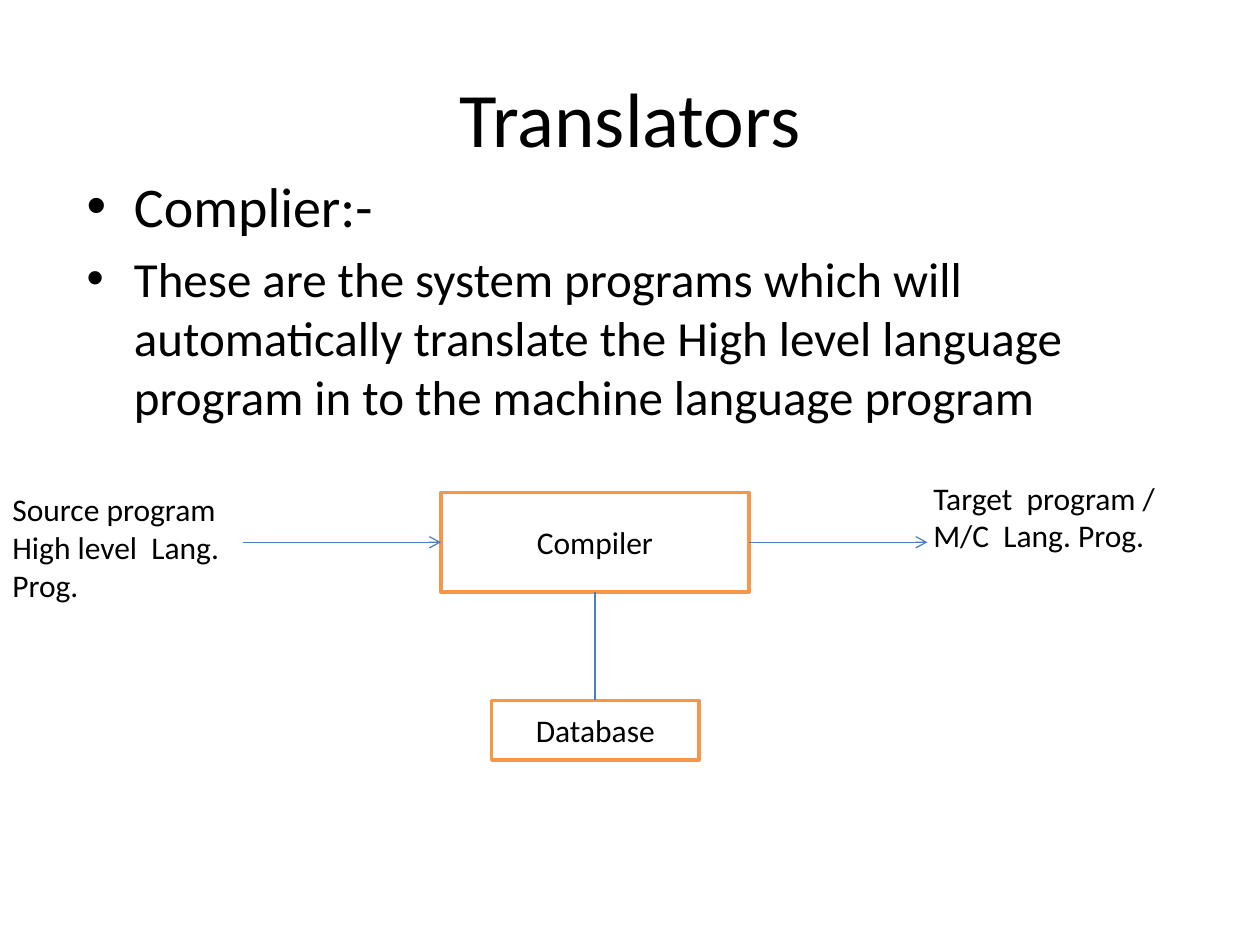
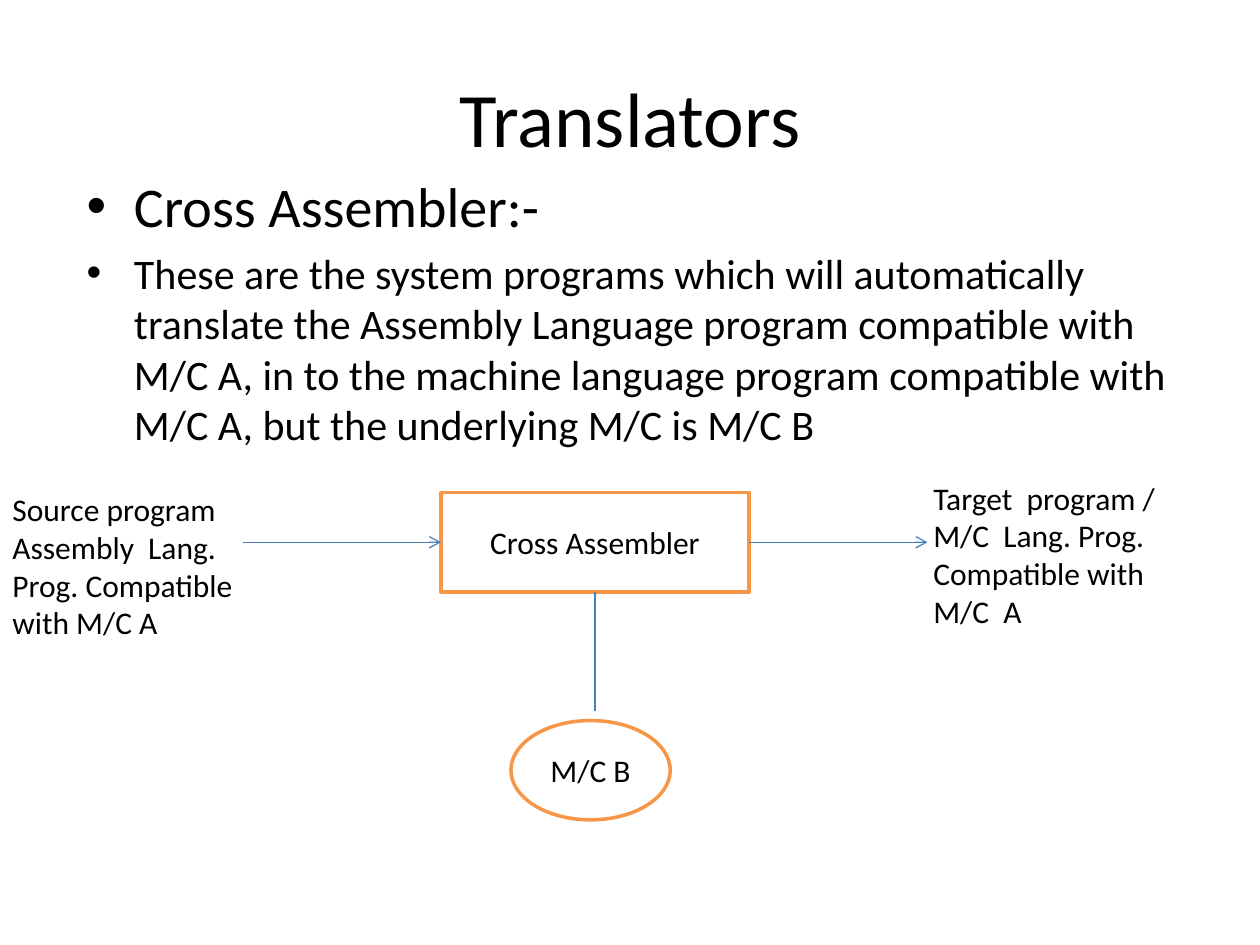
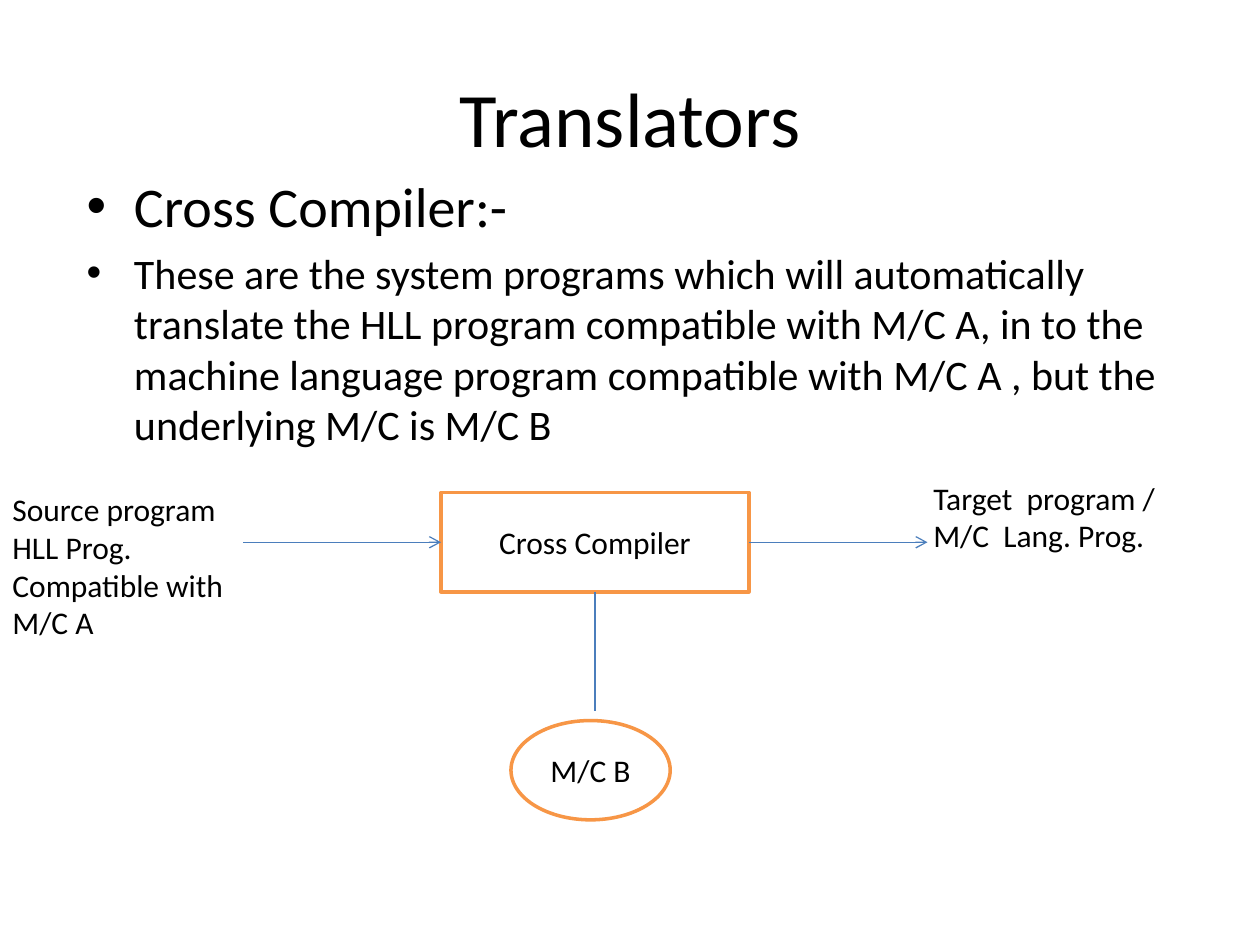
import lxml.etree
import pptx
import pptx.dml.color
import pptx.enum.shapes
import pptx.enum.text
import pptx.oxml.ns
import pptx.util

Pt = pptx.util.Pt
qn = pptx.oxml.ns.qn
SHAPE = pptx.enum.shapes.MSO_SHAPE
ALIGN = pptx.enum.text.PP_ALIGN
ANCHOR = pptx.enum.text.MSO_ANCHOR

FONT = "Calibri"
BLACK = "000000"
WHITE = "FFFFFF"
ORANGE = "F79646"
BLUE = "4B7EBC"

TRANSLATOR_LEFT, TRANSLATOR_TOP = 252, 281.5
TRANSLATOR_WIDTH, TRANSLATOR_HEIGHT = 176, 56.75
TRANSLATOR_RIGHT = TRANSLATOR_LEFT + TRANSLATOR_WIDTH
TRANSLATOR_BOTTOM = TRANSLATOR_TOP + TRANSLATOR_HEIGHT
MIDDLE_X = TRANSLATOR_LEFT + TRANSLATOR_WIDTH / 2
MIDDLE_Y = TRANSLATOR_TOP + TRANSLATOR_HEIGHT / 2

DATABASE = ("Database", SHAPE.RECTANGLE, (281, 400.25, 118.5, 34), 400.25)
MACHINE = ("M/C B", SHAPE.OVAL, (292, 411.75, 91, 56.75), 406.25)

SLIDES = [
    {
        "heading": "Complier:-",
        "definition": "These are the system programs which will automatically translate "
        "the High level language program in to the machine language program",
        "size": 28,
        "translator": "Compiler",
        "source": "High level  Lang. Prog.",
        "target": "M/C  Lang. Prog.",
        "resource": DATABASE,
    },
    {
        "heading": "Cross Assembler:-",
        "definition": "These are the system programs which will automatically translate "
        "the Assembly Language program compatible with M/C A, in to the machine language "
        "program compatible with M/C A, but the underlying M/C is M/C B",
        "size": 24,
        "translator": "Cross Assembler",
        "source": "Assembly  Lang. Prog. Compatible with M/C A",
        "target": "M/C  Lang. Prog. Compatible with M/C  A",
        "resource": MACHINE,
    },
    {
        "heading": "Cross Compiler:-",
        "definition": "These are the system programs which will automatically translate "
        "the HLL program compatible with M/C A, in to the machine language program "
        "compatible with M/C A , but the underlying M/C is M/C B",
        "size": 24,
        "translator": "Cross Compiler",
        "source": "HLL Prog. Compatible with M/C A",
        "target": "M/C  Lang. Prog.",
        "resource": MACHINE,
    },
]


def colour(value):
    return pptx.dml.color.RGBColor.from_string(value)


def write(box, text, sizes=(18,), align=ALIGN.LEFT, anchor=ANCHOR.TOP, bullet=False):
    frame = box.text_frame
    frame.word_wrap = True
    frame.vertical_anchor = anchor
    frame.text = text
    for number, para in enumerate(frame.paragraphs):
        size = sizes[number % len(sizes)]
        para.alignment = align
        span = para.runs[0]
        span.font.name = FONT
        span.font.size = Pt(size)
        span.font.color.rgb = colour(BLACK)
        if bullet:
            para.space_before = Pt(round(size * 0.2, 1))
            properties = para._p.get_or_add_pPr()
            properties.set("marL", str(Pt(27)))
            properties.set("indent", str(Pt(-27)))
            lxml.etree.SubElement(properties, qn("a:buFont"), typeface="Arial")
            lxml.etree.SubElement(properties, qn("a:buChar"), char="•")


deck = pptx.Presentation()
deck.slide_width, deck.slide_height = Pt(720), Pt(540)

for content in SLIDES:
    page = deck.slides.add_slide(deck.slide_layouts[5])

    title = page.shapes.title
    title.left, title.top, title.width, title.height = Pt(36), Pt(21.6), Pt(648), Pt(90)
    write(title, "Translators", sizes=(44,), align=ALIGN.CENTER, anchor=ANCHOR.MIDDLE)

    body = page.shapes.add_textbox(Pt(42.5), Pt(94.5), Pt(648), Pt(414))
    write(body, content["heading"] + "\n" + content["definition"],
          sizes=(32, content["size"]), bullet=True)

    resource, resource_shape, resource_place, link_end = content["resource"]
    translator_place = (TRANSLATOR_LEFT, TRANSLATOR_TOP, TRANSLATOR_WIDTH, TRANSLATOR_HEIGHT)
    for label, preset, place in [
        (content["translator"], SHAPE.RECTANGLE, translator_place),
        (resource, resource_shape, resource_place),
    ]:
        box = page.shapes.add_shape(preset, *[Pt(length) for length in place])
        box.shadow.inherit = False
        box.fill.solid()
        box.fill.fore_color.rgb = colour(WHITE)
        box.line.color.rgb = colour(ORANGE)
        box.line.width = Pt(2)
        write(box, label, align=ALIGN.CENTER, anchor=ANCHOR.MIDDLE)

    for label, left, top in [
        ("Source program\n" + content["source"], 0, 276.5),
        ("Target  program /\n" + content["target"], 526.25, 270),
    ]:
        box = page.shapes.add_textbox(Pt(left), Pt(top), Pt(157), Pt(94))
        write(box, label)

    for ends, has_arrow in [
        ((139, MIDDLE_Y, TRANSLATOR_LEFT, MIDDLE_Y), True),
        ((TRANSLATOR_RIGHT, MIDDLE_Y, 530, MIDDLE_Y), True),
        ((MIDDLE_X, TRANSLATOR_BOTTOM, MIDDLE_X, link_end), False),
    ]:
        link = page.shapes.add_connector(
            pptx.enum.shapes.MSO_CONNECTOR.STRAIGHT, *[Pt(length) for length in ends])
        link.line.color.rgb = colour(BLUE)
        link.line.width = Pt(0.75)
        if has_arrow:
            lxml.etree.SubElement(link.line._get_or_add_ln(), qn("a:tailEnd"), type="arrow")
        lxml.etree.SubElement(link._element.spPr, qn("a:effectLst"))

deck.save("out.pptx")
